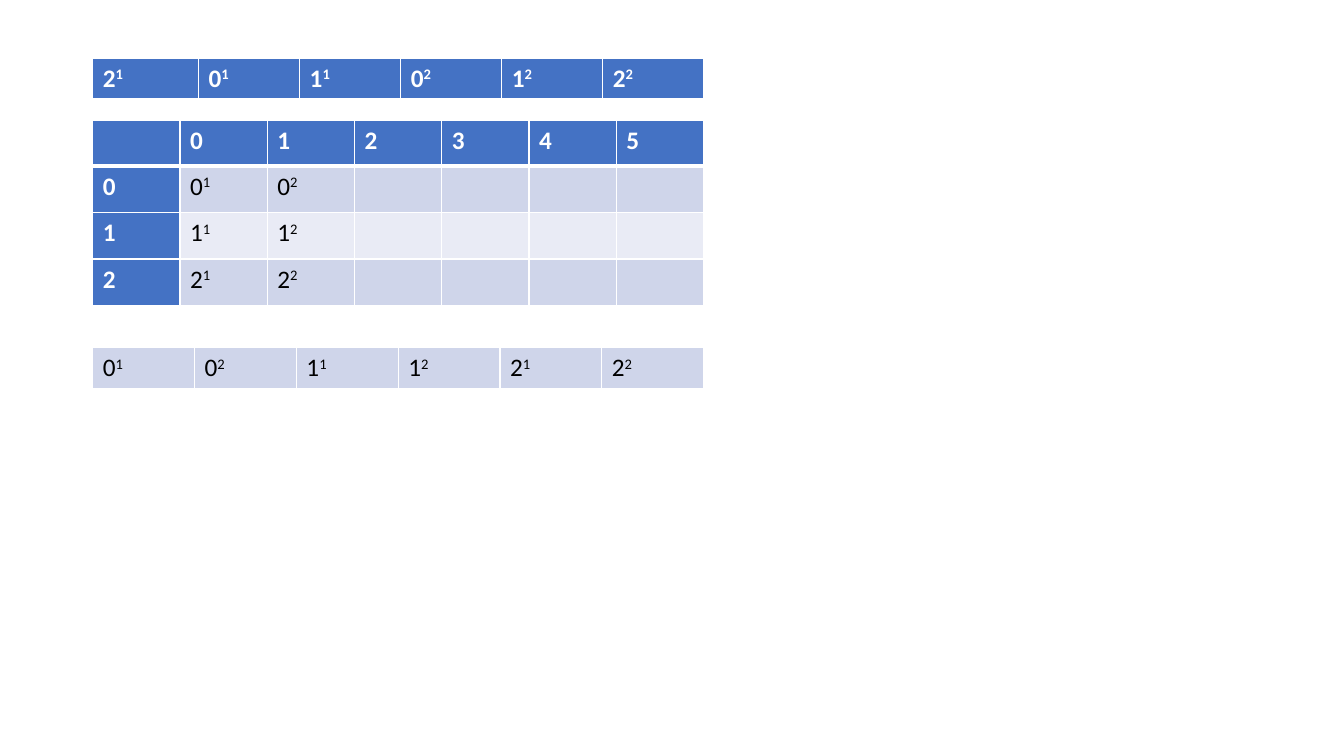
from lxml import etree
from pptx import Presentation
from pptx.dml.color import RGBColor
from pptx.oxml.ns import qn
from pptx.util import Inches, Pt

WHITE = RGBColor(0xFF, 0xFF, 0xFF)
BLACK = RGBColor(0, 0, 0)
BLUE = RGBColor(0x44, 0x72, 0xC4)
BAND = RGBColor(0xCF, 0xD5, 0xEA)
PALE = RGBColor(0xE9, 0xEB, 0xF5)

LEFT, WIDTH = 0.92, 6.06


def write(cell, text, color=BLACK, bold=False, size=18, font="Calibri"):
    """Write text in a cell; what follows a caret is raised."""
    para = cell.text_frame.paragraphs[0]
    para.font.size = Pt(size)
    for i, part in enumerate(text.split("^") if text else []):
        run = para.add_run()
        run.text = part
        run.font.name = font
        run.font.size = Pt(size)
        run.font.bold = bold
        run.font.color.rgb = color
        if i:
            run.font._element.set("baseline", "30000")


def edge(cell, **widths):
    """Give a cell white borders, with widths in points by side."""
    props = cell._tc.get_or_add_tcPr()
    for i, side in enumerate("LRTB"):
        line = etree.Element(qn(f"a:ln{side}"), w=str(Pt(widths.get(side, 1))))
        fill = etree.SubElement(line, qn("a:solidFill"))
        etree.SubElement(fill, qn("a:srgbClr"), val=str(WHITE))
        props.insert(i, line)


deck = Presentation()
deck.slide_width, deck.slide_height = Inches(13.33), Inches(7.5)
slide = deck.slides.add_slide(deck.slide_layouts[6])

# Each grid: top, row height, first column width, head row, head column, rows
grids = [
    (1.19, 0.46, WIDTH / 7, True, True, [
        ["", "0", "1", "2", "3", "4", "5"],
        ["0", "0^1", "0^2", "", "", "", ""],
        ["1", "1^1", "1^2", "", "", "", ""],
        ["2", "2^1", "2^2", "", "", "", ""],
    ]),
    (0.58, 0.41, 1.05, True, False, [["2^1", "0^1", "1^1", "0^2", "1^2", "2^2"]]),
    (3.45, 0.41, WIDTH / 6, False, False, [["0^1", "0^2", "1^1", "1^2", "2^1", "2^2"]]),
]

for top, height, first, head, side, rows in grids:
    count = len(rows[0])
    frame = slide.shapes.add_table(len(rows), count, Inches(LEFT), Inches(top),
                                   Inches(WIDTH), Inches(height * len(rows)))
    table = frame.table
    table.first_row, table.first_col = head, side
    for c, col in enumerate(table.columns):
        col.width = Inches((WIDTH - first) / (count - 1) if c else first)
    for r, row in enumerate(rows):
        table.rows[r].height = Inches(height)
        for c, text in enumerate(row):
            cell = table.cell(r, c)
            title = (head and r == 0) or (side and c == 0)
            write(cell, text, color=WHITE if title else BLACK, bold=title)
            cell.fill.solid()
            cell.fill.fore_color.rgb = BLUE if title else PALE if r == 2 else BAND
            edge(cell, T=3 if head and r == 1 else 1, B=3 if head and r == 0 else 1)

deck.save("out.pptx")
